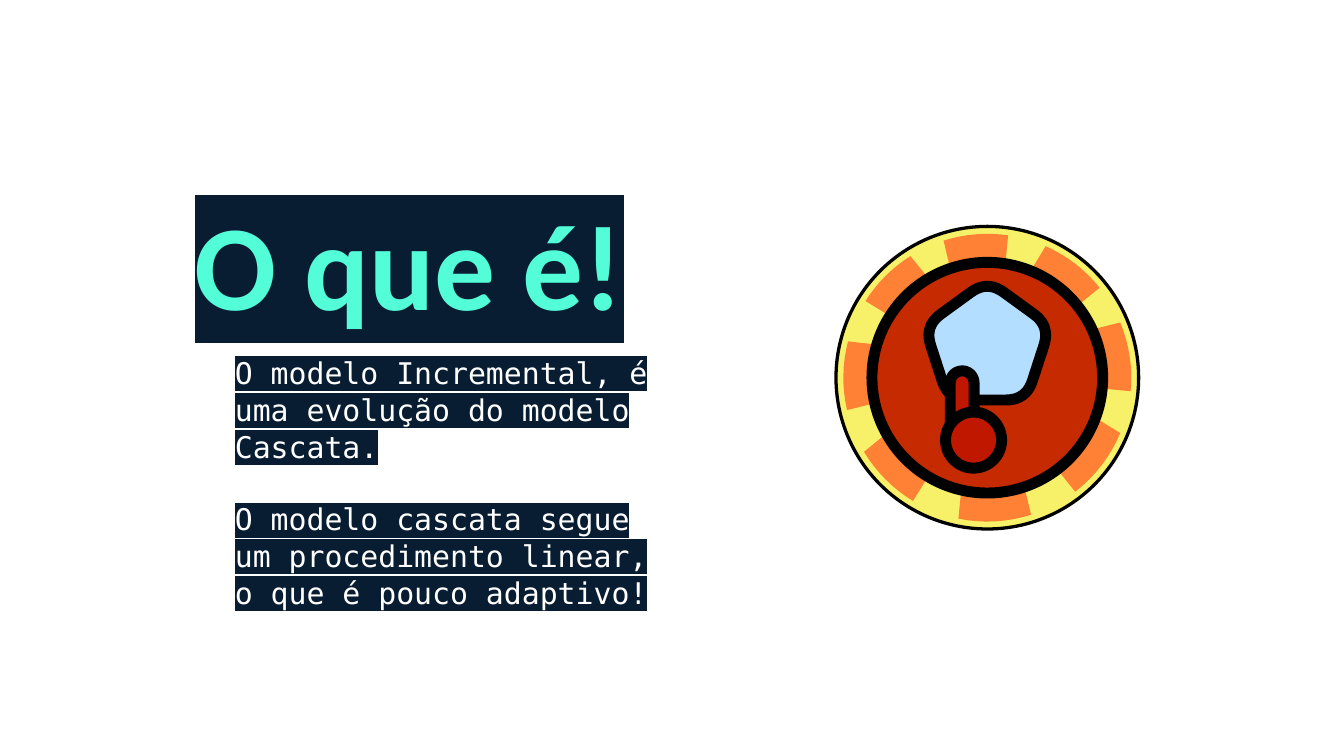
from math import cos, radians, sin

from lxml import etree
from pptx import Presentation
from pptx.dml.color import RGBColor
from pptx.enum.shapes import MSO_SHAPE
from pptx.enum.text import MSO_ANCHOR, MSO_AUTO_SIZE, PP_ALIGN
from pptx.oxml.ns import qn
from pptx.util import Cm, Pt

OVAL, ROUNDED = MSO_SHAPE.OVAL, MSO_SHAPE.ROUNDED_RECTANGLE
TOP, MIDDLE = MSO_ANCHOR.TOP, MSO_ANCHOR.MIDDLE
LEFT, NO_FIT = PP_ALIGN.LEFT, MSO_AUTO_SIZE.NONE

TITLE = ["O que é!"]
BODY = [
    "O modelo Incremental, é uma evolução do modelo Cascata.",
    "O modelo cascata segue um procedimento linear, o que é pouco adaptivo!",
]

THEME = {
    "title": {"font": "Calibri", "size": 65, "color": "53FDD8", "bold": True},
    "body": {"font": "DejaVu Sans Mono", "size": 16, "color": "FFFFFF", "bold": False},
    "highlight": "081D32",
    "outline": "000000",
    "coin": "F7F169",
    "stripe": "FF8135",
    "disc": "C62A00",
    "gem": "B4DEFF",
    "hand": "C01700",
    "thin": 1.75,
    "thick": 5.86,
}

# Lengths in centimetres, angles in degrees clockwise from the right
CENTRE = (18.66, 7.14)
COIN_R, STRIPE_R, DISC_R = 2.86, 2.72, 2.18
GEM_CENTRE, GEM_R, GEM_CUT = (18.66, 6.55), 1.25, 0.26
FINGER = (17.96, 7.01, 0.45, 1.22)
FIST_CENTRE, FIST_R = (18.4, 8.32), 0.53

# Stripes: start angle, end angle, inner points relative to the coin centre
STRIPES = [
    (252.3, 278.3, [(0.24, -1.07), (-0.06, -0.58), (-0.47, -1.09)]),
    (72.3, 101.6, [(-0.34, 0.61), (-0.01, 0.08), (0.32, 0.48)]),
    (167, 194.6, [(-0.72, -0.48), (-0.32, -0.23), (-0.8, 0.15)]),
    (337.4, 365.4, [(0.95, 0.08), (0.37, -0.28), (0.77, -0.61)]),
    (121.1, 149, [(-0.8, 0.15), (-0.27, 0.05), (-0.34, 0.61)]),
    (293.9, 321.3, [(0.77, -0.61), (0.17, -0.48), (0.24, -1.07)]),
    (212.2, 237.7, [(-0.47, -1.09), (-0.32, -0.46), (-0.72, -0.48)]),
    (22.6, 52.4, [(0.32, 0.48), (0.19, 0), (0.95, 0.08)]),
]


def polar(centre, radius, angle):
    a = radians(angle)
    return centre[0] + radius * cos(a), centre[1] + radius * sin(a)


def between(a, b, t):
    return a[0] + (b[0] - a[0]) * t, a[1] + (b[1] - a[1]) * t


def stripe_points(start, end, inner, steps=8):
    arc = [polar(CENTRE, STRIPE_R, start + (end - start) * i / steps)
           for i in range(steps + 1)]
    return arc + [(CENTRE[0] + x, CENTRE[1] + y) for x, y in inner]


def gem_points(steps=10):
    """Regular pentagon whose corners are quadratic curves."""
    corners = [polar(GEM_CENTRE, GEM_R, 72 * i - 90) for i in range(5)]
    points = []
    for i, corner in enumerate(corners):
        a = between(corner, corners[i - 1], GEM_CUT)
        b = between(corner, corners[(i + 1) % 5], GEM_CUT)
        for k in range(steps + 1):
            t = k / steps
            points.append(between(between(a, corner, t), between(corner, b, t), t))
    return points


def paint(sp, fill, width=None):
    sp.shadow.inherit = False
    sp.fill.solid()
    sp.fill.fore_color.rgb = RGBColor.from_string(THEME[fill])
    if width:
        sp.line.color.rgb = RGBColor.from_string(THEME["outline"])
        sp.line.width = Pt(THEME[width])
    else:
        sp.line.fill.background()


def add_circle(group, centre, radius, fill, width):
    box = (centre[0] - radius, centre[1] - radius, 2 * radius, 2 * radius)
    sp = group.shapes.add_shape(OVAL, *map(Cm, box))
    paint(sp, fill, width)


def add_outline(group, points, fill, width=None):
    points = [(Cm(x), Cm(y)) for x, y in points]
    builder = group.shapes.build_freeform(*points[0])
    builder.add_line_segments(points[1:], close=True)
    paint(builder.convert_to_shape(), fill, width)


def fill_placeholder(sp, box, lines, style, anchor, spacing, gap=0):
    sp.left, sp.top, sp.width, sp.height = map(Cm, box)
    tf = sp.text_frame
    tf.text = "\n".join(lines)
    tf.word_wrap, tf.auto_size, tf.vertical_anchor = True, NO_FIT, anchor
    tf.margin_left = tf.margin_right = tf.margin_top = tf.margin_bottom = Cm(0.25)
    for i, p in enumerate(tf.paragraphs):
        p.alignment, p.line_spacing = LEFT, spacing
        p.space_before, p.space_after = Pt(gap if i else 0), Pt(0)
        for r in p.runs:
            r.font.name, r.font.size = style["font"], Pt(style["size"])
            r.font.bold = style["bold"]
            r.font.color.rgb = RGBColor.from_string(style["color"])
            mark = etree.Element(qn("a:highlight"))
            etree.SubElement(mark, qn("a:srgbClr"), val=THEME["highlight"])
            r.font._element.find(qn("a:solidFill")).addnext(mark)


def main():
    prs = Presentation()
    prs.slide_width, prs.slide_height = Cm(25.4), Cm(14.29)
    s = prs.slides.add_slide(prs.slide_layouts[0])
    title, body = s.placeholders
    fill_placeholder(title, (3.43, 3.73, 8.97, 2.18), TITLE, THEME["title"], MIDDLE, 1.1)
    fill_placeholder(body, (4.19, 6.43, 8.97, 4.57), BODY, THEME["body"], TOP, 1.03, 19)

    coin = s.shapes.add_group_shape()
    add_circle(coin, CENTRE, COIN_R, "coin", "thin")
    for stripe in STRIPES:
        add_outline(coin, stripe_points(*stripe), "stripe")

    emblem = s.shapes.add_group_shape()
    add_circle(emblem, CENTRE, DISC_R, "disc", "thick")
    add_outline(emblem, gem_points(), "gem", "thick")
    finger = emblem.shapes.add_shape(ROUNDED, *map(Cm, FINGER))
    finger.adjustments[0] = 0.5
    paint(finger, "hand", "thick")
    add_circle(emblem, FIST_CENTRE, FIST_R, "hand", "thick")

    prs.save("out.pptx")


if __name__ == "__main__":
    main()
